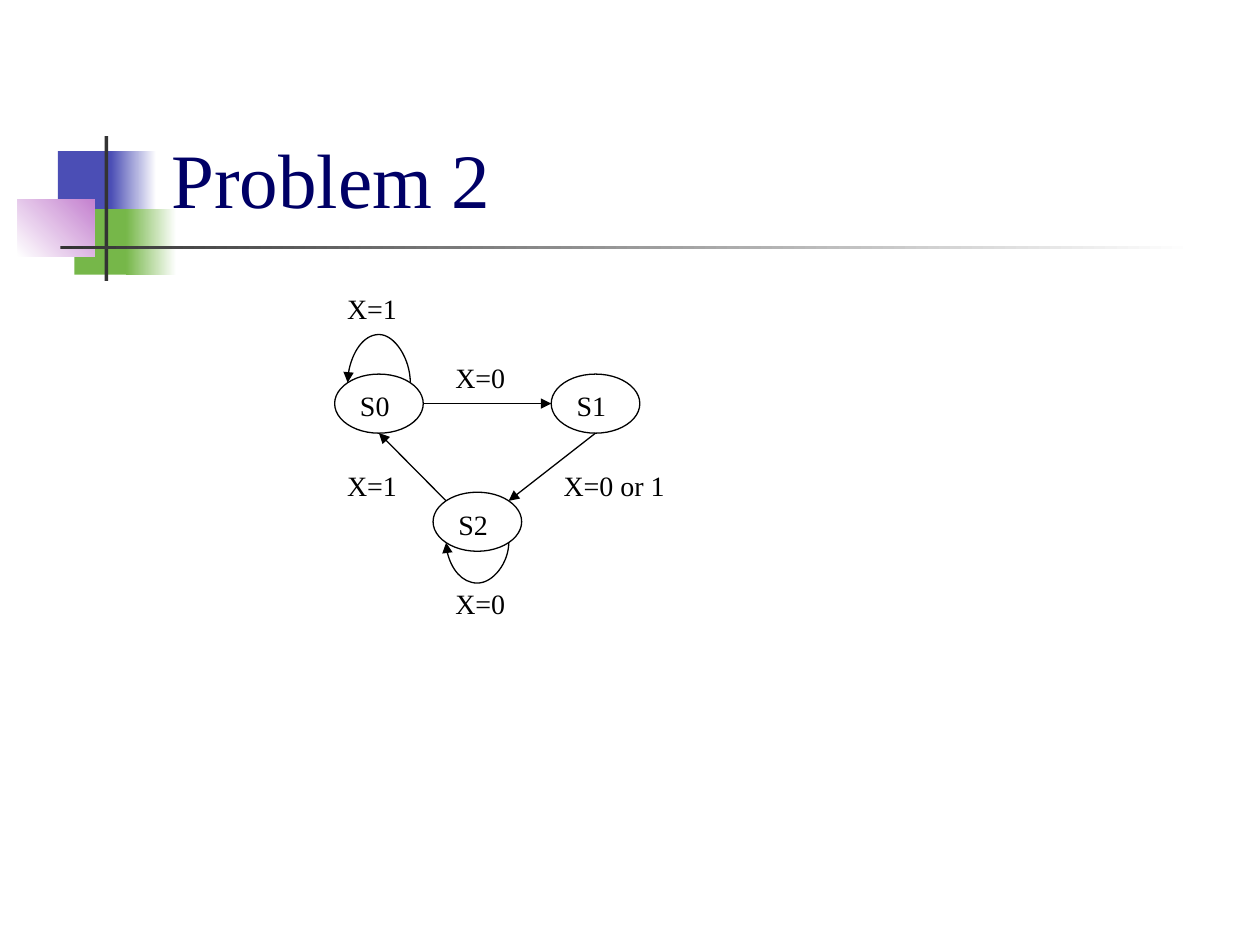
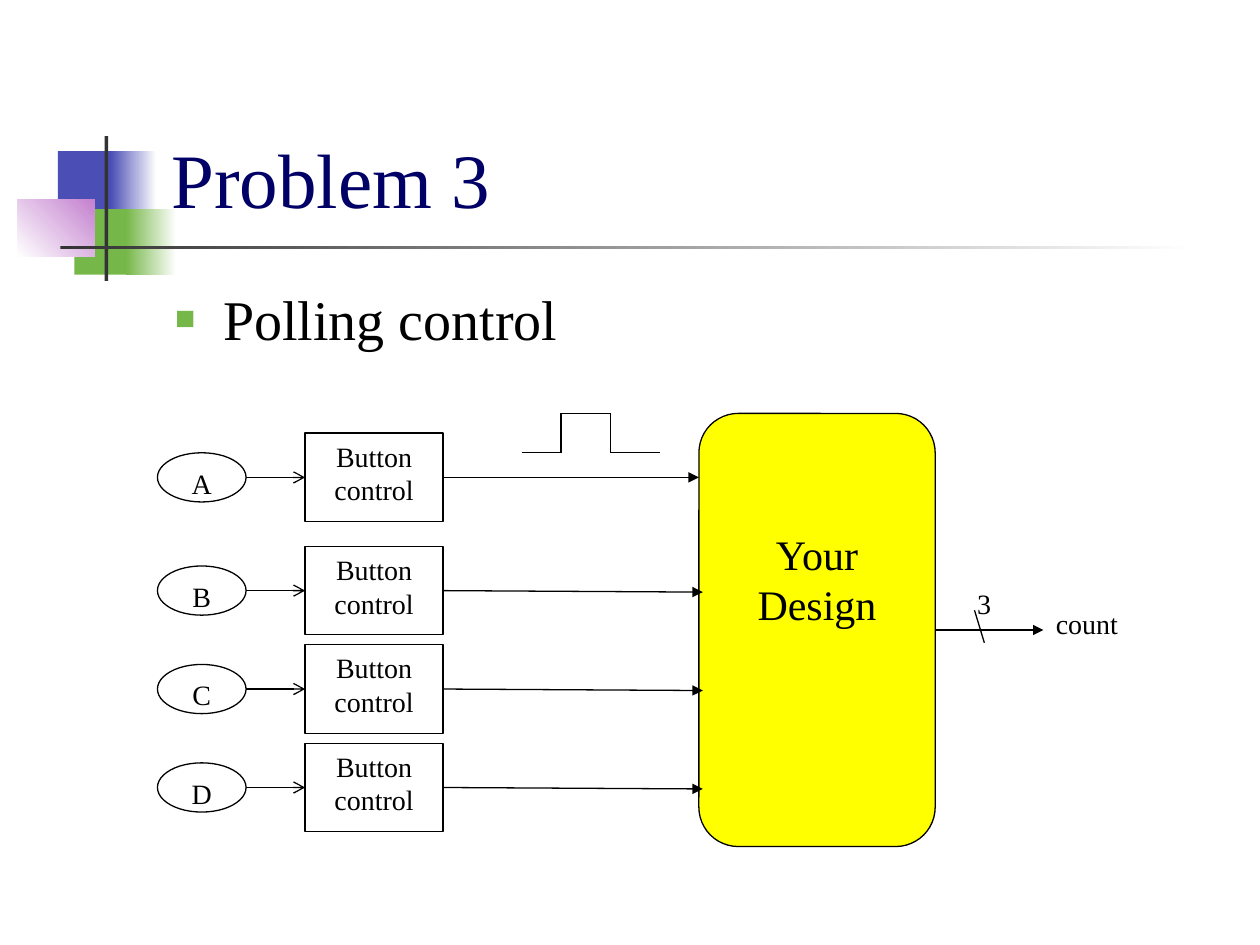
"""Build two slides: a three-state diagram and a polling-control block diagram."""
from dataclasses import dataclass
from itertools import pairwise
from math import cos, radians, sin

from lxml import etree
from pptx import Presentation
from pptx import util as u
from pptx.dml.color import RGBColor
from pptx.enum import shapes, text
from pptx.oxml import ns


@dataclass(frozen=True)
class Theme:
    font: str = "Times New Roman"
    ink: str = "000000"
    title: str = "000066"
    blue: str = "4B4EB5"
    green: str = "76B749"
    violet: str = "C481CF"
    rule: str = "333333"
    white: str = "FFFFFF"
    yellow: str = "FFFF00"
    title_size: int = 44
    body_size: int = 32
    design_size: int = 24
    label_size: int = 16
    line: float = 0.75


THEME = Theme()
SLIDE_W, SLIDE_H = u.Inches(10), u.Inches(7.5)
UNIT = SLIDE_W / 128
KIND, LINK = shapes.MSO_SHAPE, shapes.MSO_CONNECTOR
LEFT, CENTER = text.PP_ALIGN.LEFT, text.PP_ALIGN.CENTER

BANDS = [
    ((0.46, 1.2, 0.48, 0.52), (THEME.blue,), 0),
    ((0.88, 1.2, 0.36, 0.52), (THEME.blue, THEME.white), 0),
    ((0.59, 1.66, 0.46, 0.52), (THEME.green,), 0),
    ((1, 1.66, 0.4, 0.52), (THEME.green, THEME.white), 0),
    ((0.14, 1.58, 0.61, 0.46), (THEME.white, THEME.violet), 45),
    ((0.83, 1.08, 0.03, 1.15), (THEME.rule,), 0),
    ((0.48, 1.95, 9, 0.03), (THEME.rule, THEME.white), 0),
]
TITLE_AREA = (1.26, 0.23, 8.52, 1.6)
BODY_AREA = (1.29, 2.21, 8.5, 0.68)

STATE_W, STATE_H = 9, 6
STATES = {"S0": (34, 38), "S1": (56, 38), "S2": (44, 50)}
TRANSITIONS = [("S0", 6, "S1", 2), ("S1", 4, "S2", 7), ("S2", 1, "S0", 4)]
LOOPS = [("S0", 7, 1, 0.38, 270), ("S2", 5, 3, 0.32, 90)]
CONDITIONS = [("X=1", 34, 29, 7.7), ("X=0", 45, 36, 7.7), ("X=0 or 1", 56, 47, 12.9),
              ("X=0", 45, 59, 7.7), ("X=1", 34, 47, 7.7)]

BUTTONS = {"A": 44, "B": 55.5, "C": 65.5, "D": 75.5}
BUTTON_X, BUTTON_W, BUTTON_H = 16, 9, 5
CONTROL_X, CONTROL_W, CONTROL_H = 31, 14, 9
DESIGN = (71, 42, 24, 44)
PULSE = [(53, 46), (57, 46), (57, 42), (62, 42), (62, 46), (67, 46)]
OUTPUT = ((95, 64), (106, 64))
BUS_SLASH = ((99, 62), (100, 65.3))
OUTPUT_LABELS = [("3", 98, 59, 4), ("count", 106, 61, 9)]


def inches(*lengths):
    return [u.Inches(length) for length in lengths]


def grid(*steps):
    return [round(step * UNIT) for step in steps]


def add_xml(parent, tag, **attributes):
    return etree.SubElement(parent, ns.qn(tag), attributes)


def format_text(frame, size, color=THEME.ink, align=LEFT):
    for paragraph in frame.paragraphs:
        paragraph.alignment = align
        for run in paragraph.runs:
            run.font.name, run.font.size = THEME.font, u.Pt(size)
            run.font.color.rgb = RGBColor.from_string(color)


def add_block(slide, kind, area, words, size=THEME.label_size, align=CENTER, fill=None):
    block = slide.shapes.add_shape(kind, *grid(*area))
    block.shadow.inherit = False
    if fill:
        block.fill.solid()
        block.fill.fore_color.rgb = RGBColor.from_string(fill)
    else:
        block.fill.background()
    block.line.color.rgb = RGBColor.from_string(THEME.ink)
    block.line.width = u.Pt(THEME.line)
    block.text_frame.text = words
    block.text_frame.vertical_anchor = text.MSO_ANCHOR.TOP
    format_text(block.text_frame, size, align=align)
    return block


def add_label(slide, words, x, y, width):
    frame = slide.shapes.add_textbox(*grid(x, y, width, 4.7)).text_frame
    frame.text = words
    frame.word_wrap = False
    format_text(frame, THEME.label_size)


def add_line(slide, start, end, head=None, kind=LINK.STRAIGHT):
    link = slide.shapes.add_connector(kind, *grid(*start, *end))
    link.line.color.rgb = RGBColor.from_string(THEME.ink)
    link.line.width = u.Pt(THEME.line)
    properties = link.element.spPr
    if head:
        add_xml(properties.find(ns.qn("a:ln")), "a:tailEnd", type=head)
    add_xml(properties, "a:effectLst")
    return link


def glue(link, source, source_site, target, target_site):
    properties = link.element.find(".//" + ns.qn("p:cNvCxnSpPr"))
    add_xml(properties, "a:stCxn", id=str(source.shape_id), idx=str(source_site))
    add_xml(properties, "a:endCxn", id=str(target.shape_id), idx=str(target_site))


def state_site(state, site):
    """Return the grid point of an ellipse site, counted anticlockwise from the top."""
    x, y = STATES[state]
    angle = radians(90 + 45 * site)
    return (x + STATE_W / 2 * (1 + cos(angle)), y + STATE_H / 2 * (1 - sin(angle)))


def add_loop(slide, ellipse, state, start_site, end_site, bulge, turn):
    (right, y), (left, _) = state_site(state, start_site), state_site(state, end_site)
    middle, reach, thin = (left + right) / 2, (right - left) / 2, 0.02
    loop = add_line(slide, (middle - thin / 2, y - reach), (middle + thin / 2, y + reach),
                    "triangle", LINK.CURVE)
    frame = loop.element.spPr.find(ns.qn("a:xfrm"))
    frame.set("rot", str(turn * 60000))
    if turn == 270:
        frame.set("flipV", "1")
    geometry = loop.element.spPr.find(ns.qn("a:prstGeom"))
    guides = geometry.find(ns.qn("a:avLst"))
    if guides is None:
        guides = add_xml(geometry, "a:avLst")
    share = round(u.Inches(bulge) / loop.width * 100000)
    add_xml(guides, "a:gd", name="adj1", fmla=f"val {share}")
    glue(loop, ellipse, start_site, ellipse, end_site)


def add_bands(slide, master):
    """Draw the shared bands and move them to the back of the master."""
    for order, (area, colors, angle) in enumerate(BANDS):
        band = slide.shapes.add_shape(KIND.RECTANGLE, *inches(*area))
        band.shadow.inherit = False
        band.line.fill.background()
        if len(colors) == 1:
            band.fill.solid()
            band.fill.fore_color.rgb = RGBColor.from_string(colors[0])
        else:
            band.fill.gradient()
            band.fill.gradient_angle = angle
            for stop, color, position in zip(band.fill.gradient_stops, colors, (0, 1)):
                stop.color.rgb = RGBColor.from_string(color)
                stop.position = position
        band.element.find(".//" + ns.qn("p:cNvPr")).set("id", str(100 + order))
        master.shapes.element.insert(2 + order, band.element)


def fill_placeholder(holder, area, words, size, color, anchor):
    holder.left, holder.top, holder.width, holder.height = inches(*area)
    frame = holder.text_frame
    frame.text = words
    frame.auto_size = text.MSO_AUTO_SIZE.NONE
    frame.vertical_anchor = anchor
    format_text(frame, size, color)


def add_slide(deck, layout, title):
    slide = deck.slides.add_slide(deck.slide_layouts[layout])
    fill_placeholder(slide.shapes.title, TITLE_AREA, title, THEME.title_size,
                     THEME.title, text.MSO_ANCHOR.BOTTOM)
    return slide


def add_bullet(slide, words):
    body = slide.placeholders[1]
    fill_placeholder(body, BODY_AREA, words, THEME.body_size, THEME.ink, text.MSO_ANCHOR.TOP)
    indent = u.Inches(0.38)
    for paragraph in body.text_frame.paragraphs:
        properties = paragraph._p.get_or_add_pPr()
        properties.set("marL", str(indent))
        properties.set("indent", str(-indent))
        add_xml(add_xml(properties, "a:buClr"), "a:srgbClr", val=THEME.green)
        add_xml(properties, "a:buSzPct", val="60000")
        add_xml(properties, "a:buFont", typeface=THEME.font)
        add_xml(properties, "a:buChar", char="■")


def draw_states(slide):
    ellipses = {state: add_block(slide, KIND.OVAL, (*corner, STATE_W, STATE_H), state, align=LEFT)
                for state, corner in STATES.items()}
    for source, source_site, target, target_site in TRANSITIONS:
        link = add_line(slide, state_site(source, source_site),
                        state_site(target, target_site), "triangle")
        glue(link, ellipses[source], source_site, ellipses[target], target_site)
    for state, *route in LOOPS:
        add_loop(slide, ellipses[state], state, *route)
    for condition in CONDITIONS:
        add_label(slide, *condition)


def draw_polling(slide):
    design = add_block(slide, KIND.ROUNDED_RECTANGLE, DESIGN, "Your\nDesign",
                       THEME.design_size, fill=THEME.yellow)
    design.text_frame.margin_top = u.Inches(0.82)
    for row, (button, top) in enumerate(BUTTONS.items()):
        middle = top + CONTROL_H / 2
        add_block(slide, KIND.RECTANGLE, (CONTROL_X, top, CONTROL_W, CONTROL_H), "Button\ncontrol")
        add_block(slide, KIND.OVAL, (BUTTON_X, top + 2, BUTTON_W, BUTTON_H), button)
        add_line(slide, (BUTTON_X + BUTTON_W, middle), (CONTROL_X, middle), "arrow")
        overlap, drop = (0.4, 0.15) if row else (0, 0)
        add_line(slide, (CONTROL_X + CONTROL_W, middle),
                 (DESIGN[0] + overlap, middle + drop), "triangle")
    for start, end in pairwise(PULSE):
        add_line(slide, start, end)
    add_line(slide, *OUTPUT, "triangle")
    add_line(slide, *BUS_SLASH)
    for label in OUTPUT_LABELS:
        add_label(slide, *label)


def main():
    deck = Presentation()
    deck.slide_width, deck.slide_height = SLIDE_W, SLIDE_H
    machine = add_slide(deck, 5, "Problem 2")
    add_bands(machine, deck.slide_master)
    draw_states(machine)
    polling = add_slide(deck, 1, "Problem 3")
    add_bullet(polling, "Polling control")
    draw_polling(polling)
    deck.save("out.pptx")


main()
